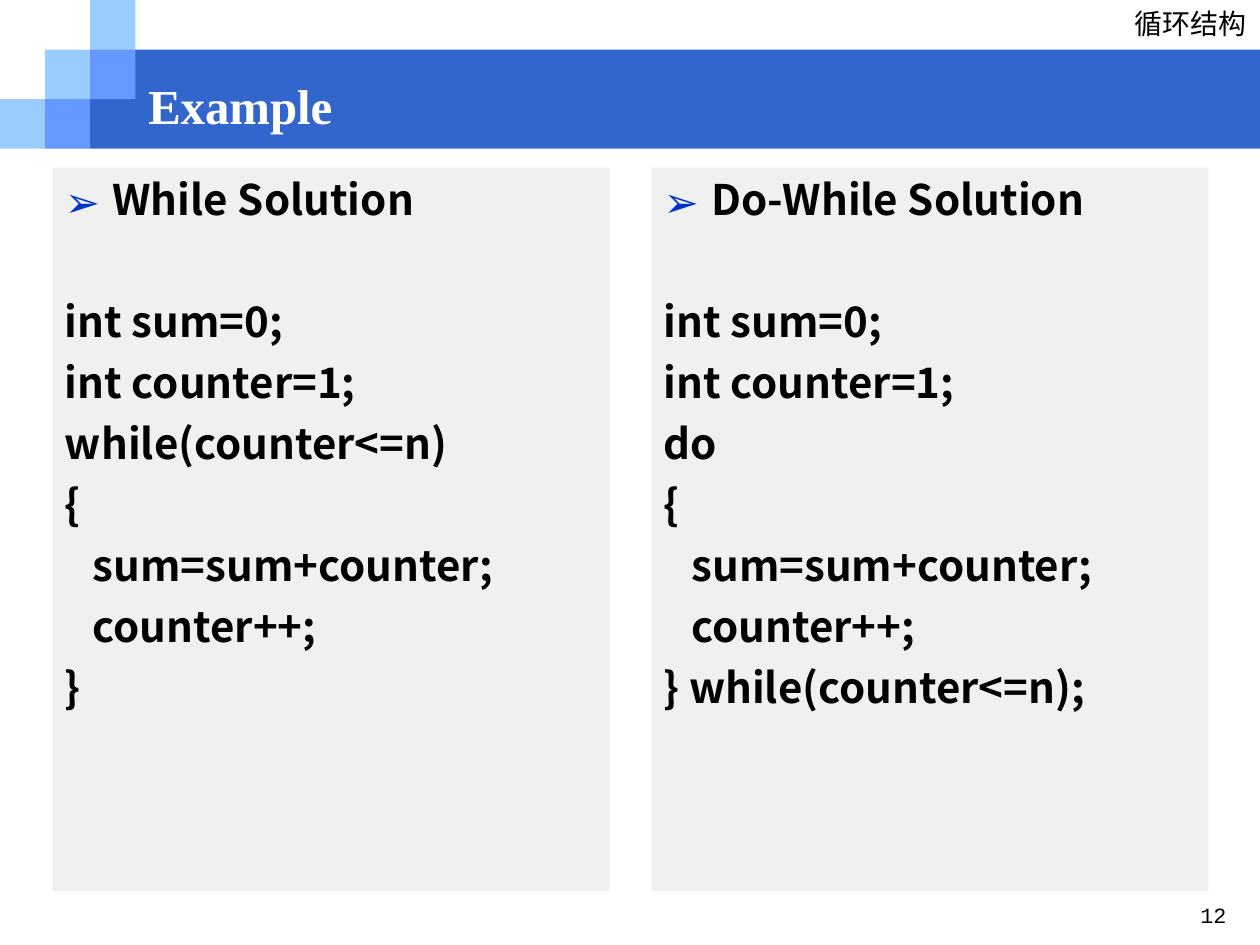
"""Build the slide comparing a while loop with a do-while loop."""
import pptx
import pptx.util
import pptx.dml.color
import pptx.enum.shapes
import pptx.enum.text
import pptx.oxml.ns
import lxml.etree

Cm = pptx.util.Cm
Pt = pptx.util.Pt
qn = pptx.oxml.ns.qn

COLORS = {"band": "3366CC", "light": "99CCFF", "mid": "6699FF",
          "panel": "F0F0F0", "bullet": "0033CC", "text": "000000", "title": "FFFFFF"}
SANS = "Noto Sans CJK SC"
BODY_SIZE = 24
BODY_LINE = 28.8
HANG = Cm(0.96)
CODE_INDENT = Cm(0.56)
TILE_W, TILE_H = 0.91, 1.0


def rgb(name):
    return pptx.dml.color.RGBColor.from_string(COLORS[name])


def add_block(slide, x, y, w, h, color):
    sp = slide.shapes.add_shape(pptx.enum.shapes.MSO_SHAPE.RECTANGLE,
                                Cm(x), Cm(y), Cm(w), Cm(h))
    sp.shadow.inherit = False
    sp.fill.solid()
    sp.fill.fore_color.rgb = rgb(color)
    sp.line.fill.background()
    return sp


def style(p, size, font, color="text", bold=False, spacing=None):
    p.font.size = Pt(size)
    p.font.name = font
    p.font.bold = bold
    p.font.color.rgb = rgb(color)
    p.line_spacing = spacing
    if font == SANS:
        rpr = p._p.get_or_add_pPr().find(qn("a:defRPr"))
        lxml.etree.SubElement(rpr, qn("a:ea"), typeface=font)


def add_label(slide, x, y, w, h, text, size, font, align="LEFT", anchor="TOP",
              wrap=True, **look):
    tf = slide.shapes.add_textbox(Cm(x), Cm(y), Cm(w), Cm(h)).text_frame
    tf.word_wrap = wrap
    tf.vertical_anchor = pptx.enum.text.MSO_ANCHOR[anchor]
    p = tf.paragraphs[0]
    p.text = text
    p.alignment = pptx.enum.text.PP_ALIGN[align]
    style(p, size, font, **look)


def add_bullet(p):
    ppr = p._p.get_or_add_pPr()
    ppr.set("marL", str(HANG))
    ppr.set("indent", str(-HANG))
    color = lxml.etree.Element(qn("a:buClr"))
    lxml.etree.SubElement(color, qn("a:srgbClr"), val=COLORS["bullet"])
    font = lxml.etree.Element(qn("a:buFont"), typeface=SANS)
    char = lxml.etree.Element(qn("a:buChar"), char="➢")
    rpr = ppr.find(qn("a:defRPr"))
    for part in (color, font, char):
        rpr.addprevious(part)


def add_panel(slide, x, heading, code):
    tf = add_block(slide, x, 3.38, 11.23, 14.58, "panel").text_frame
    tf.word_wrap = True
    tf.vertical_anchor = pptx.enum.text.MSO_ANCHOR.TOP
    for i, (text, indented) in enumerate([(heading, False)] + code):
        p = tf.paragraphs[0] if i == 0 else tf.add_paragraph()
        p.text = text
        p.alignment = pptx.enum.text.PP_ALIGN.LEFT
        p.space_before = Pt(BODY_LINE + 12 if i == 1 else 6)
        style(p, BODY_SIZE, SANS, bold=True, spacing=Pt(BODY_LINE))
        if i == 0:
            add_bullet(p)
        elif indented:
            p._p.get_or_add_pPr().set("marL", str(CODE_INDENT))


def loop_code(opening, closing):
    return [("int sum=0;", False), ("int counter=1;", False), (opening, False),
            ("{", False), ("sum=sum+counter;", True), ("counter++;", True),
            (closing, False)]


def add_banner(slide):
    add_block(slide, 2 * TILE_W, TILE_H, 23.58, 2 * TILE_H, "band")
    for col, row, color in [(0, 2, "light"), (1, 1, "light"), (2, 0, "light"),
                            (2, 1, "mid"), (1, 2, "mid")]:
        add_block(slide, col * TILE_W, row * TILE_H, TILE_W, TILE_H, color)


def main():
    prs = pptx.Presentation()
    prs.slide_width, prs.slide_height = Cm(25.4), Cm(19.05)
    slide = prs.slides.add_slide(prs.slide_layouts[6])
    add_banner(slide)
    add_label(slide, 22.37, 0, 3, 0.94, "循环结构", 16, SANS,
              align="RIGHT", spacing=Pt(19.2))
    add_panel(slide, 1.06, "While Solution", loop_code("while(counter<=n)", "}"))
    add_panel(slide, 13.13, "Do-While Solution", loop_code("do", "} while(counter<=n);"))
    add_label(slide, 23.95, 18.16, 1.47, 0.89, "12", 12.4, "Courier New", spacing=0.8)
    add_label(slide, 2.74, 1.5, 22.66, 1.47, "Example", 27.9, "Times New Roman",
              anchor="MIDDLE", color="title", bold=True, spacing=0.8)
    prs.save("out.pptx")


main()
